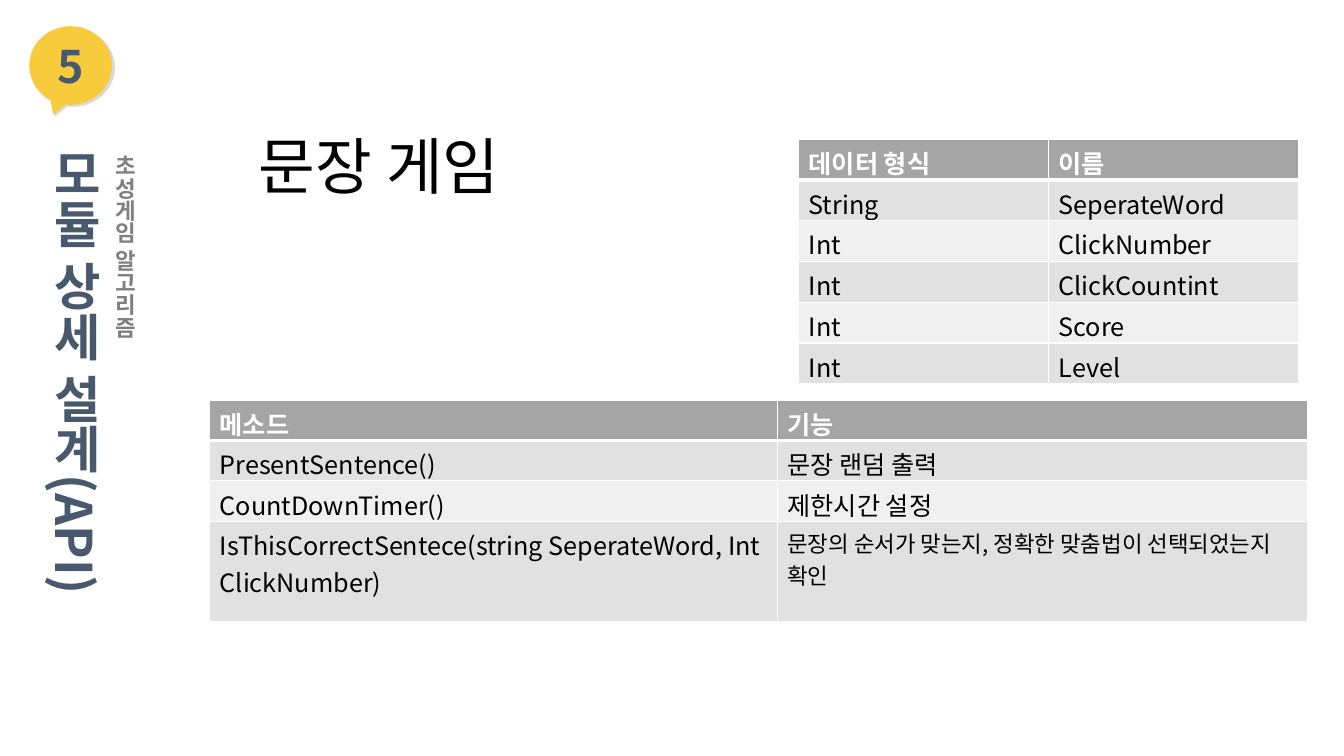
from dataclasses import dataclass

from lxml import etree
from pptx import Presentation
from pptx.dml.color import RGBColor
from pptx.enum.shapes import MSO_SHAPE
from pptx.enum.text import MSO_ANCHOR, MSO_AUTO_SIZE, PP_ALIGN
from pptx.oxml.ns import qn
from pptx.util import Inches, Pt

CALLOUT = MSO_SHAPE.OVAL_CALLOUT
MIDDLE = MSO_ANCHOR.MIDDLE
GROW = MSO_AUTO_SIZE.SHAPE_TO_FIT_TEXT
LEFT, CENTER = PP_ALIGN.LEFT, PP_ALIGN.CENTER

FONT = "Noto Sans CJK KR"
NAVY, YELLOW, SHADOW, GRAY = "48596D", "F8CB3C", "D9D9D9", "808080"
BLACK, WHITE = "000000", "FFFFFF"
HEADER_FILL, BAND_FILLS = "A5A5A5", ("E1E1E1", "F0F0F0")


@dataclass
class Style:
    size: int
    color: str
    bold: bool = False


@dataclass
class Label:
    text: str
    area: tuple[float, float, float, float]
    style: Style
    align: PP_ALIGN = LEFT
    vertical: bool = False


@dataclass
class Grid:
    left: float
    top: float
    columns: list[float]
    heights: list[float]
    rows: list[tuple[str, str]]
    last_size: int = 18  # text size of the last cell


LABELS = [
    Label("모듈 상세 설계(API)", (0.29, 1.38, 0.81, 4.49), Style(36, NAVY, True), vertical=True),
    Label("초성게임 알고리즘", (0.95, 1.44, 0.47, 1.94), Style(16, GRAY, True), CENTER, True),
    Label("문장 게임", (2.47, 1.22, 5.76, 0.84), Style(44, BLACK)),
]

GRIDS = [
    Grid(7.92, 1.38, [2.48] * 2, [0.405] * 6, [
        ("데이터 형식", "이름"),
        ("String", "SeperateWord"),
        ("Int", "ClickNumber"),
        ("Int", "ClickCountint"),
        ("Int", "Score"),
        ("Int", "Level"),
    ]),
    Grid(2.08, 3.97, [5.63, 5.26], [0.4, 0.4, 0.4, 1.0], [
        ("메소드", "기능"),
        ("PresentSentence()", "문장 랜덤 출력"),
        ("CountDownTimer()", "제한시간 설정"),
        ("IsThisCorrectSentece(string SeperateWord, Int ClickNumber)",
         "문장의 순서가 맞는지, 정확한 맞춤법이 선택되었는지 확인"),
    ], last_size=16),
]


def rgb(value: str) -> RGBColor:
    return RGBColor.from_string(value)


def add_span(para, text: str, style: Style) -> None:
    span = para.add_run()
    span.text = text
    font = span.font
    font.name, font.size, font.bold = FONT, Pt(style.size), style.bold
    font.color.rgb = rgb(style.color)
    east_asian = etree.SubElement(font._element, qn("a:ea"))
    east_asian.set("typeface", FONT)


def add_bubble(page, left: float, top: float, width: float, fill: str):
    bubble = page.shapes.add_shape(CALLOUT, Inches(left), Inches(top), Inches(width), Inches(0.78))
    bubble.adjustments[0], bubble.adjustments[1] = -0.208, 0.625
    bubble.shadow.inherit = False
    bubble.fill.solid()
    bubble.fill.fore_color.rgb = rgb(fill)
    bubble.line.fill.background()
    return bubble


def add_label(page, label: Label) -> None:
    box = page.shapes.add_textbox(*map(Inches, label.area))
    frame = box.text_frame
    frame.word_wrap = not label.vertical
    frame.auto_size = GROW
    if label.vertical:
        frame._txBody.bodyPr.set("vert", "eaVert")
    para = frame.paragraphs[0]
    para.alignment = label.align
    add_span(para, label.text, label.style)


def set_borders(cell, bottom: float) -> None:
    properties = cell._tc.get_or_add_tcPr()
    sides = [("a:lnL", 1), ("a:lnR", 1), ("a:lnT", 1), ("a:lnB", bottom)]
    for index, (side, width) in enumerate(sides):
        line = etree.Element(qn(side), w=str(Pt(width)))
        fill = etree.SubElement(line, qn("a:solidFill"))
        etree.SubElement(fill, qn("a:srgbClr"), val=WHITE)
        properties.insert(index, line)


def add_grid(page, grid: Grid) -> None:
    table = page.shapes.add_table(
        len(grid.rows), len(grid.columns), Inches(grid.left), Inches(grid.top),
        Inches(sum(grid.columns)), Inches(sum(grid.heights))).table
    for column, width in zip(table.columns, grid.columns):
        column.width = Inches(width)
    for row, height in zip(table.rows, grid.heights):
        row.height = Inches(height)
    for r, texts in enumerate(grid.rows):
        header = r == 0
        for c, text in enumerate(texts):
            cell = table.cell(r, c)
            cell.fill.solid()
            cell.fill.fore_color.rgb = rgb(HEADER_FILL if header else BAND_FILLS[(r - 1) % 2])
            # The header rule is thicker and shared with the row below
            set_borders(cell, 3 if header else 1)
            last = (r, c) == (len(grid.rows) - 1, len(texts) - 1)
            style = Style(grid.last_size if last else 18, WHITE if header else BLACK, header)
            add_span(cell.text_frame.paragraphs[0], text, style)


def main() -> None:
    deck = Presentation()
    deck.slide_width, deck.slide_height = Inches(13.33), Inches(7.5)
    page = deck.slides.add_slide(deck.slide_layouts[6])

    # Numbered speech bubble over its shadow
    add_bubble(page, 0.3, 0.28, 0.84, SHADOW)
    number = add_bubble(page, 0.29, 0.26, 0.82, YELLOW).text_frame
    number.vertical_anchor = MIDDLE
    number.paragraphs[0].alignment = CENTER
    add_span(number.paragraphs[0], "5", Style(32, NAVY, True))

    # Titles
    for label in LABELS:
        add_label(page, label)

    # Data and method tables
    for grid in GRIDS:
        add_grid(page, grid)

    deck.save("out.pptx")


if __name__ == "__main__":
    main()
